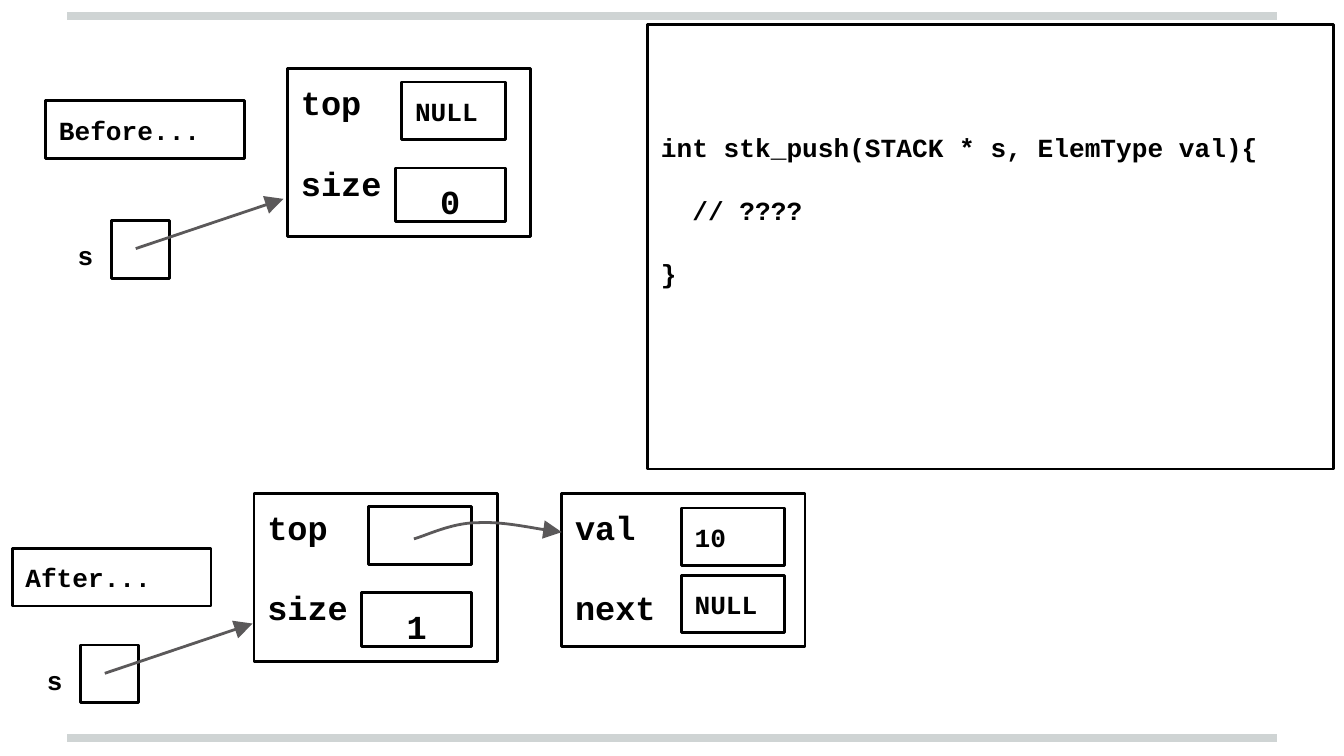
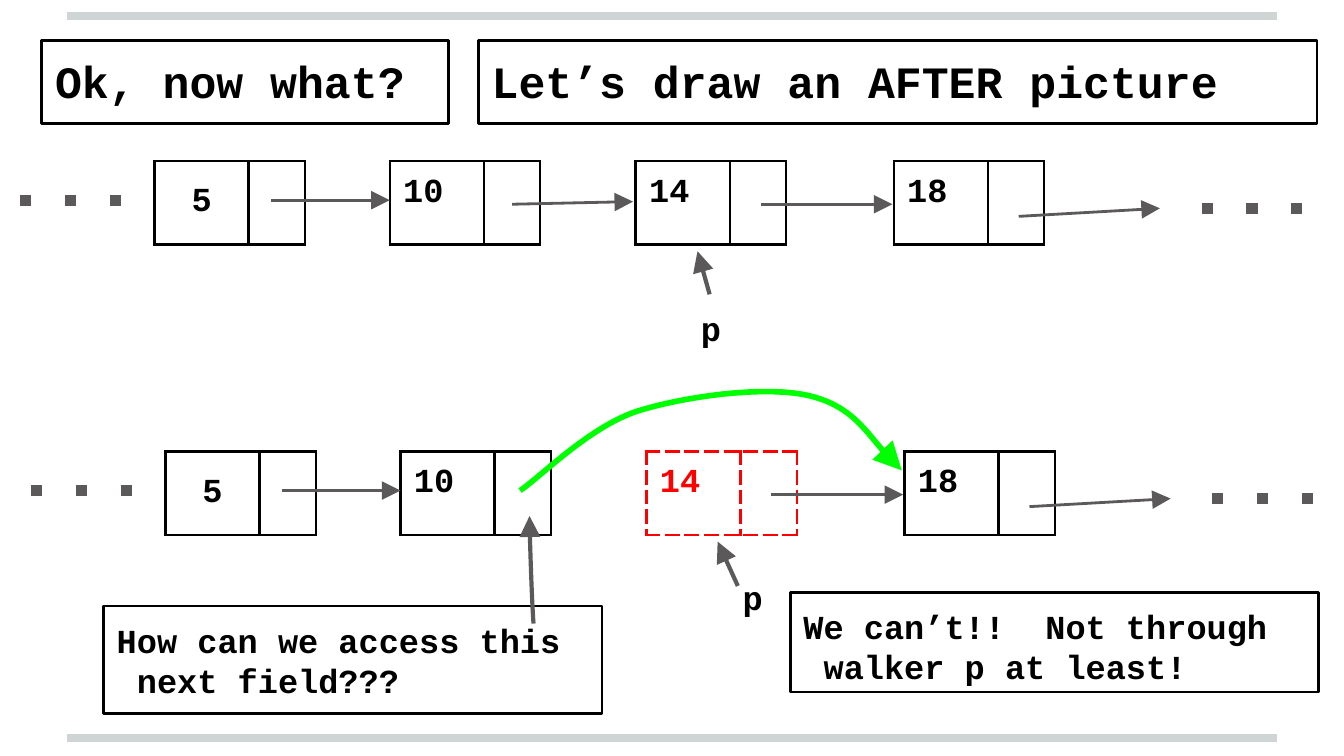
from dataclasses import dataclass
from typing import Optional

from lxml import etree
from pptx import Presentation
from pptx.dml.color import RGBColor
from pptx.enum import shapes, text
from pptx.oxml.ns import qn
from pptx.util import Inches, Pt

BLACK = RGBColor(0x00, 0x00, 0x00)
GREY = RGBColor(0x5B, 0x59, 0x5A)
BAND = RGBColor(0xCF, 0xD4, 0xD4)
RED = RGBColor(0xFF, 0x00, 0x00)
GREEN = RGBColor(0x00, 0xFF, 0x00)
FONT = "Courier New"
PITCH = 1.2  # height of a line, as a share of the font size
LEFT, CENTER = text.PP_ALIGN.LEFT, text.PP_ALIGN.CENTER
TOP, MIDDLE = text.MSO_ANCHOR.TOP, text.MSO_ANCHOR.MIDDLE
TITLE_ONLY, BLANK = 5, 6


@dataclass
class Box:
    """A framed (or bare) rectangle with text."""
    x: float
    y: float
    w: float
    h: float
    lines: tuple = ()
    size: int = 18
    align: text.PP_ALIGN = LEFT
    blank_lines: int = 0
    top: float = 0.1
    framed: bool = True


@dataclass
class Node:
    """A linked-list node: its value, left edge and the arrow out of it."""
    value: str
    x: float
    arrow: Optional[tuple] = None
    removed: bool = False
    centered: bool = False


def add_ln(ln, tag: str, **attrs: str) -> None:
    """Append one child element to a line element."""
    etree.SubElement(ln, qn("a:" + tag), attrs)


def style_line(shape, color: RGBColor, width: float, dash: str = "", arrow: bool = False) -> None:
    """Set colour, width, dash and arrowhead of an outline or line."""
    shape.line.color.rgb = color
    shape.line.width = Pt(width)
    ln = shape.element.find(".//" + qn("a:ln"))
    if dash:
        add_ln(ln, "prstDash", val=dash)
    add_ln(ln, "round")
    if arrow:
        add_ln(ln, "tailEnd", type="triangle", w="lg", len="lg")


def write(tf, lines: tuple, size: int, align=LEFT, blank_lines: int = 0, color=BLACK) -> None:
    """Write bold code-style lines, one paragraph each."""
    for i, line in enumerate(lines):
        p = tf.add_paragraph() if i else tf.paragraphs[0]
        p.text = line
        p.alignment = align
        p.font.name, p.font.size, p.font.bold = FONT, Pt(size), True
        p.font.color.rgb = color
        if i:
            p.space_before = Pt(round(size * PITCH * blank_lines, 1))


def fill_box(sp, box: Box) -> None:
    """Format a shape or placeholder as a box and write its text."""
    if box.framed:
        sp.fill.background()
        style_line(sp, BLACK, 1.5)
    tf = sp.text_frame
    tf.word_wrap = True
    tf.auto_size = text.MSO_AUTO_SIZE.NONE
    tf.vertical_anchor = TOP
    tf.margin_left = tf.margin_right = tf.margin_bottom = Inches(0.1)
    tf.margin_top = Inches(box.top)
    write(tf, box.lines, box.size, box.align, box.blank_lines)


def add_box(s, box: Box) -> None:
    """Draw a box, as a text box when it has no frame."""
    place = [Inches(v) for v in (box.x, box.y, box.w, box.h)]
    if box.framed:
        sp = s.shapes.add_shape(shapes.MSO_SHAPE.RECTANGLE, *place)
        sp.shadow.inherit = False
    else:
        sp = s.shapes.add_textbox(*place)
    fill_box(sp, box)


def add_line(s, x1: float, y1: float, x2: float, y2: float, color=GREY,
             width: float = 1.5, dash: str = "", arrow: bool = True) -> None:
    """Draw a straight line, by default with an arrowhead."""
    c = s.shapes.add_connector(shapes.MSO_CONNECTOR.STRAIGHT,
                               *[Inches(v) for v in (x1, y1, x2, y2)])
    style_line(c, color, width, dash, arrow)
    etree.SubElement(c.element.spPr, qn("a:effectLst"))


def add_curve(s, points: list, color=GREY, width: float = 1.5) -> None:
    """Draw a curved arrow: a start, then three points per Bezier piece."""
    start, *controls = [(Inches(x), Inches(y)) for x, y in points]
    builder = s.shapes.build_freeform(*start)
    builder.add_line_segments(controls, close=False)
    sp = builder.convert_to_shape()
    sp.shadow.inherit = False
    sp.fill.background()
    style_line(sp, color, width, arrow=True)
    segments = list(sp.element.iter(qn("a:lnTo")))
    for i in range(0, len(segments), 3):
        curve = etree.Element(qn("a:cubicBezTo"))
        segments[i].addprevious(curve)
        for segment in segments[i:i + 3]:
            curve.append(segment[0])
            segment.getparent().remove(segment)


def new_slide(prs, layout: int):
    """Add a slide with the grey bands at top and bottom."""
    s = prs.slides.add_slide(prs.slide_layouts[layout])
    for y in (0.12, 5.49):
        add_line(s, 0.5, y, 9.5, y, BAND, 4, arrow=False)
    return s


def add_pointer(s, x: float, y: float) -> None:
    """Draw the variable s with its arrow to the stack."""
    add_box(s, Box(x - 0.35, y + 0.04, 0.52, 0.29, ("s",), 14, framed=False))
    add_box(s, Box(x, y, 0.43, 0.43))
    add_line(s, x + 0.18, y + 0.21, x + 1.28, y - 0.16)


def add_stack(s, x: float, y: float, top: tuple, size: str) -> None:
    """Draw a stack record with its two fields."""
    add_box(s, Box(x, y, 1.81, 1.25, ("top", "size"), blank_lines=1))
    add_box(s, Box(x + 0.85, y + 0.1, 0.77, 0.43, top, 14))
    add_box(s, Box(x + 0.8, y + 0.74, 0.82, 0.4, (size,), align=CENTER))


def add_node(s, node: Node, x: float, y: float) -> None:
    """Draw a list node as a one-row table: value and next field."""
    color, dash = (RED, "dash") if node.removed else (BLACK, "solid")
    frame = s.shapes.add_table(1, 2, Inches(x), Inches(y), Inches(1.12), Inches(0.62))
    table = frame.table
    table.first_row = table.horz_banding = False
    for column, width in zip(table.columns, (0.7, 0.42)):
        column.width = Inches(width)
    for cell in table.iter_cells():
        cell.margin_left = cell.margin_right = Inches(0.1)
        cell.margin_top = cell.margin_bottom = Inches(0.1)
        cell.fill.background()
    for tc_pr in frame.element.iter(qn("a:tcPr")):
        for i, side in enumerate(("lnL", "lnR", "lnT", "lnB")):
            ln = etree.Element(qn("a:" + side), w=str(Pt(1.5)))
            fill = etree.SubElement(ln, qn("a:solidFill"))
            add_ln(fill, "srgbClr", val=str(color))
            add_ln(ln, "prstDash", val=dash)
            tc_pr.insert(i, ln)
    cell = table.cell(0, 0)
    if node.centered:
        cell.vertical_anchor = MIDDLE
    write(cell.text_frame, (node.value,), 18, CENTER if node.centered else LEFT, color=color)


def add_list(s, nodes: list, dx: float, dy: float) -> None:
    """Draw a row of nodes, their arrows and the dots at both ends."""
    for node in nodes:
        add_node(s, node, node.x + dx, 1.2 + dy)
    for node in nodes:
        if node.arrow:
            x1, y1, x2, y2 = node.arrow
            add_line(s, x1 + dx, y1 + dy, x2 + dx, y2 + dy)
    for x, y in ((0.15, 1.49), (8.94, 1.55)):
        add_line(s, x + dx, y + dy, x + 0.79 + dx, y + dy, width=6, dash="dot", arrow=False)


def add_walker(s, x: float, y: float, arrow: tuple) -> None:
    """Draw the walker p and its arrow."""
    add_line(s, *arrow, width=2.25)
    add_box(s, Box(x, y, 0.56, 0.51, ("p",), align=CENTER, framed=False))


def push_slide(prs) -> None:
    """Build the slide showing a push on an empty stack."""
    s = new_slide(prs, BLANK)
    add_stack(s, 2.14, 0.51, ("NULL",), "0")
    add_stack(s, 1.89, 3.67, (), "1")
    for x, y, caption in ((0.34, 0.75, "Before..."), (0.09, 4.08, "After...")):
        add_box(s, Box(x, y, 1.48, 0.43, (caption,), 14))
    add_box(s, Box(4.18, 3.67, 1.81, 1.14, ("val", "next"), blank_lines=1))
    for y, value in ((3.78, "10"), (4.28, "NULL")):
        add_box(s, Box(5.07, y, 0.77, 0.43, (value,), 14))
    add_curve(s, [(3.08, 4.01), (3.16, 3.99), (3.36, 3.89), (3.55, 3.89),
                  (3.73, 3.88), (4.07, 3.95), (4.18, 3.96)])
    add_pointer(s, 0.83, 1.64)
    add_pointer(s, 0.6, 4.8)
    code = ("int stk_push(STACK * s, ElemType val){", "  // ????", "}")
    add_box(s, Box(4.82, 0.18, 5.1, 3.31, code, 14, blank_lines=1, top=0.8))


def removal_slide(prs) -> None:
    """Build the slide showing a node being removed from a list."""
    s = new_slide(prs, TITLE_ONLY)
    title = Box(0.31, 0.3, 3.03, 0.62, ("Ok, now what?",), 24)
    sp = s.shapes.title
    sp.left, sp.top = Inches(title.x), Inches(title.y)
    sp.width, sp.height = Inches(title.w), Inches(title.h)
    fill_box(sp, title)
    add_box(s, Box(3.56, 0.3, 6.24, 0.62, ("Let’s draw an AFTER picture",), 24))

    first = Node("5", 1.15, (2.02, 1.49, 2.9, 1.49), centered=True)
    last = Node("18", 6.65, (7.58, 1.61, 8.63, 1.55))
    skipped = (5.66, 1.52, 6.64, 1.52)
    before = [first, Node("10", 2.9, (3.81, 1.52, 4.71, 1.5)), Node("14", 4.73, skipped), last]
    after = [first, Node("10", 2.9), Node("14", 4.73, skipped, removed=True), last]
    add_list(s, before, 0, 0)
    add_list(s, after, 0.08, 2.16)
    add_walker(s, 5.01, 2.19, (5.28, 2.19, 5.19, 1.87))
    add_walker(s, 5.32, 4.19, (5.49, 4.36, 5.34, 4.03))

    add_curve(s, [(3.87, 3.65), (4.02, 3.55), (4.38, 3.18), (4.74, 3.06),
                  (5.09, 2.95), (5.67, 2.87), (6, 2.94),
                  (6.33, 3.01), (6.59, 3.4), (6.71, 3.5)], GREEN, 3)
    add_box(s, Box(0.77, 4.51, 3.71, 0.8, ("How can we access this ", " next field???")))
    add_curve(s, [(3.97, 4.64), (3.96, 4.51), (3.94, 3.97), (3.94, 3.84)], width=2.25)
    add_box(s, Box(5.88, 4.41, 3.93, 0.74, ("We can’t!!  Not through", " walker p at least!")))


def main() -> None:
    """Build and save the presentation."""
    prs = Presentation()
    prs.slide_width = Inches(10)
    prs.slide_height = prs.slide_width * 9 // 16
    push_slide(prs)
    removal_slide(prs)
    prs.save("out.pptx")


main()
